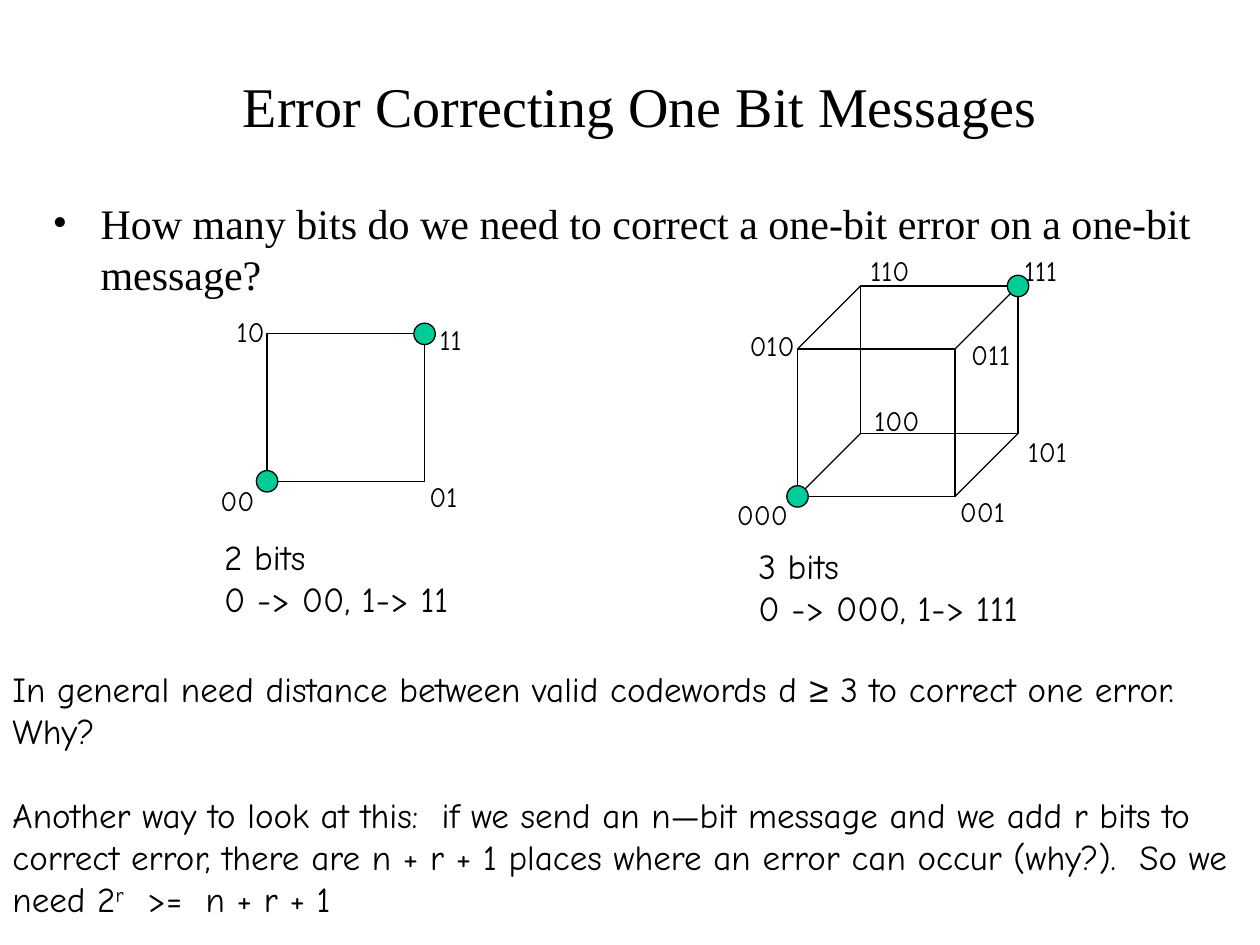
from dataclasses import dataclass

from lxml import etree
from pptx import Presentation
from pptx import util as u
from pptx.dml.color import RGBColor
from pptx.enum import shapes, text
from pptx.oxml.ns import qn


@dataclass(frozen=True)
class Theme:
    ink: RGBColor = RGBColor(0x00, 0x00, 0x00)
    codeword: RGBColor = RGBColor(0x00, 0xCC, 0x99)
    serif: str = "Times New Roman"
    hand: str = "Comic Neue"
    symbol: str = "Arial"
    title: int = 32
    body: int = 24
    note: int = 20
    label: int = 16
    line: float = 0.75


def add_run(p, content, font, size, color, baseline=None):
    r = p.add_run()
    r.text = content
    r.font.name = font
    r.font.size = u.Pt(size)
    r.font.color.rgb = color
    if baseline:
        r._r.get_or_add_rPr().set("baseline", str(baseline))
    return r


class Builder:
    def __init__(self, s, theme):
        self.s = s
        self.theme = theme

    def textbox(self, x, y, w, h, paragraphs, font, size, wrap=False,
                grow=True, align=text.PP_ALIGN.LEFT, anchor=text.MSO_ANCHOR.TOP):
        sp = self.s.shapes.add_textbox(*map(u.Inches, (x, y, w, h)))
        tf = sp.text_frame
        tf.word_wrap = wrap
        tf.auto_size = (text.MSO_AUTO_SIZE.SHAPE_TO_FIT_TEXT if grow
                        else text.MSO_AUTO_SIZE.NONE)
        tf.vertical_anchor = anchor
        for i, runs in enumerate(paragraphs):
            p = tf.add_paragraph() if i else tf.paragraphs[0]
            p.alignment = align
            for content, style in runs:
                add_run(p, content, **{"font": font, "size": size,
                                       "color": self.theme.ink, **style})
        return tf

    def bullet(self, p, indent):
        pPr = p._p.get_or_add_pPr()
        pPr.set("marL", str(u.Inches(indent)))
        pPr.set("indent", str(-u.Inches(indent)))
        etree.SubElement(pPr, qn("a:buFont")).set("typeface", self.theme.serif)
        etree.SubElement(pPr, qn("a:buChar")).set("char", "•")

    def shape(self, kind, x, y, w, h, fill=None):
        sp = self.s.shapes.add_shape(kind, *map(u.Inches, (x, y, w, h)))
        sp.shadow.inherit = False
        if fill is None:
            sp.fill.background()
        else:
            sp.fill.solid()
            sp.fill.fore_color.rgb = fill
        sp.line.color.rgb = self.theme.ink
        sp.line.width = u.Pt(self.theme.line)

    def face(self, x, y, w, h):
        self.shape(shapes.MSO_SHAPE.RECTANGLE, x, y, w, h)

    def dot(self, cx, cy, d=0.17):
        self.shape(shapes.MSO_SHAPE.OVAL, cx - d / 2, cy - d / 2, d, d,
                   self.theme.codeword)

    def edge(self, x1, y1, x2, y2):
        c = self.s.shapes.add_connector(shapes.MSO_CONNECTOR.STRAIGHT,
                                        *map(u.Inches, (x1, y1, x2, y2)))
        c.line.color.rgb = self.theme.ink
        c.line.width = u.Pt(self.theme.line)
        etree.SubElement(c._element.spPr, qn("a:effectLst"))

    def labels(self, places):
        for content, x, y, w in places:
            self.textbox(x, y, w, 0.37, [[(content, {})]],
                         self.theme.hand, self.theme.label)

    def caption(self, x, y, w, lines):
        self.textbox(x, y, w, 0.77, [[(line, {})] for line in lines],
                     self.theme.hand, self.theme.note)


def main():
    prs = Presentation()
    prs.slide_width, prs.slide_height = u.Inches(10), u.Inches(7.5)
    theme = Theme()
    b = Builder(prs.slides.add_slide(prs.slide_layouts[6]), theme)

    b.textbox(0.83, 0.21, 8.5, 1.25, [[("Error Correcting One Bit Messages", {})]],
              theme.serif, theme.title, wrap=True, grow=False,
              align=text.PP_ALIGN.CENTER, anchor=text.MSO_ANCHOR.MIDDLE)
    question = ("How many bits do we need to correct a one-bit error "
                "on a one-bit message?")
    tf = b.textbox(0.32, 1.52, 9.43, 1, [[(question, {})]],
                   theme.serif, theme.body, wrap=True, grow=False)
    tf.paragraphs[0].space_before = u.Pt(6)
    b.bullet(tf.paragraphs[0], 0.38)

    w, h, depth = 1.25, 1.17, 0.5
    x, y = 6.33, 2.77
    b.face(x, y, w, h)
    b.face(x + depth, y - depth, w, h)
    for cy in (y + h, y):
        for cx in (x, x + w):
            b.edge(cx, cy, cx + depth, cy - depth)
    b.labels([("000", 5.75, 3.9, 0.63), ("001", 7.52, 3.88, 0.58),
              ("111", 8.03, 1.96, 0.48), ("100", 6.84, 3.15, 0.58),
              ("101", 8.06, 3.4, 0.53), ("011", 7.61, 2.63, 0.53),
              ("110", 6.81, 1.96, 0.53), ("010", 5.85, 2.56, 0.58)])
    b.dot(x, y + h)
    b.dot(x + w + depth, y - depth)

    x, y = 2.12, 2.65
    b.face(x, y, w, h)
    b.labels([("00", 1.65, 3.79, 0.49), ("01", 3.31, 3.76, 0.44),
              ("11", 3.39, 2.51, 0.4), ("10", 1.78, 2.45, 0.44)])
    b.dot(x, y + h)
    b.dot(x + w, y)

    b.caption(1.68, 4.2, 1.98, ["2 bits", "0 -> 00, 1-> 11"])
    b.caption(5.92, 4.27, 2.26, ["3 bits", "0 -> 000, 1-> 111"])

    distance = [("In general need distance between valid codewords d ", {}),
                ("≥", {"font": theme.symbol}),
                (" 3 to correct one error.  Why?", {})]
    counting = [("Another way to look at this:  if we send an n—bit message "
                 "and we add r bits to correct error, there are n + r + 1 "
                 "places where an error can occur (why?).  So we need 2", {}),
                ("r", {"baseline": 30000}),
                ("  >=  n + r + 1", {})]
    tf = b.textbox(0, 5.25, 9.92, 2.1, [distance, counting],
                   theme.hand, theme.note, wrap=True)
    tf.paragraphs[1].space_before = u.Pt(24)

    prs.save("out.pptx")


if __name__ == "__main__":
    main()
